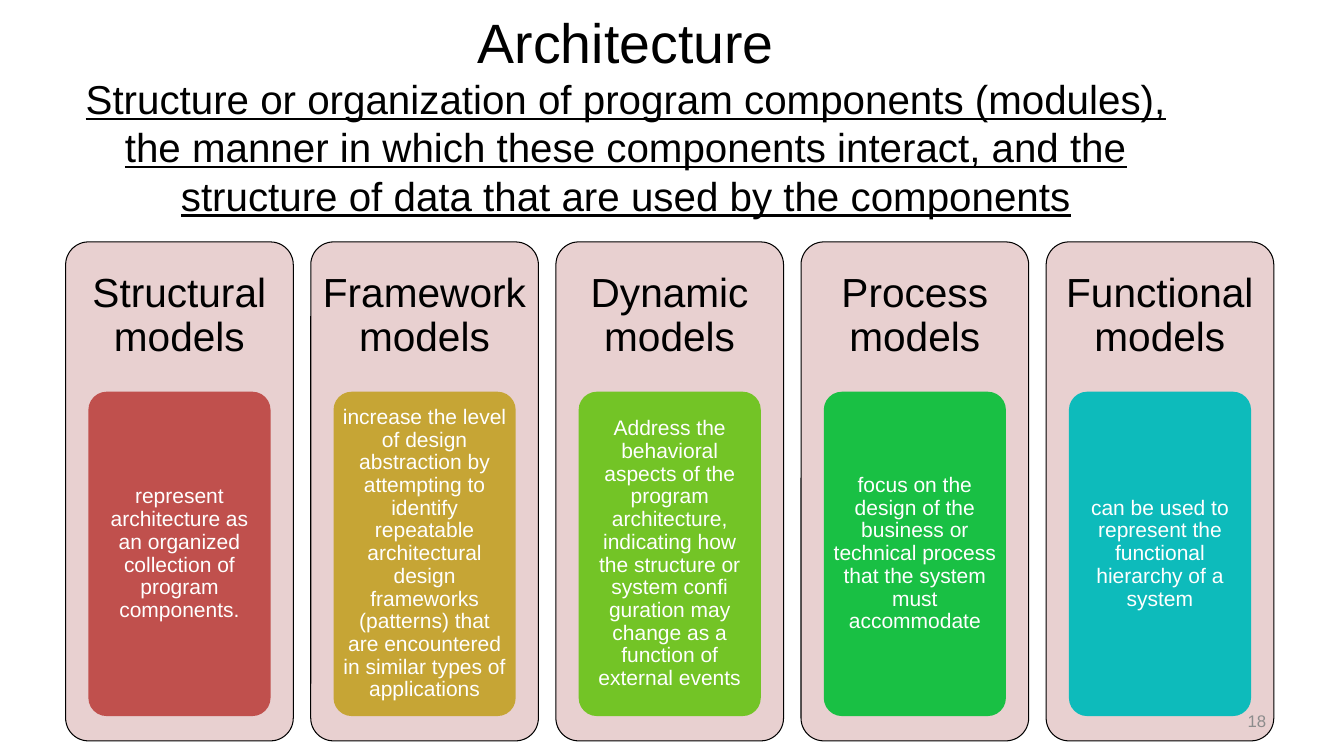
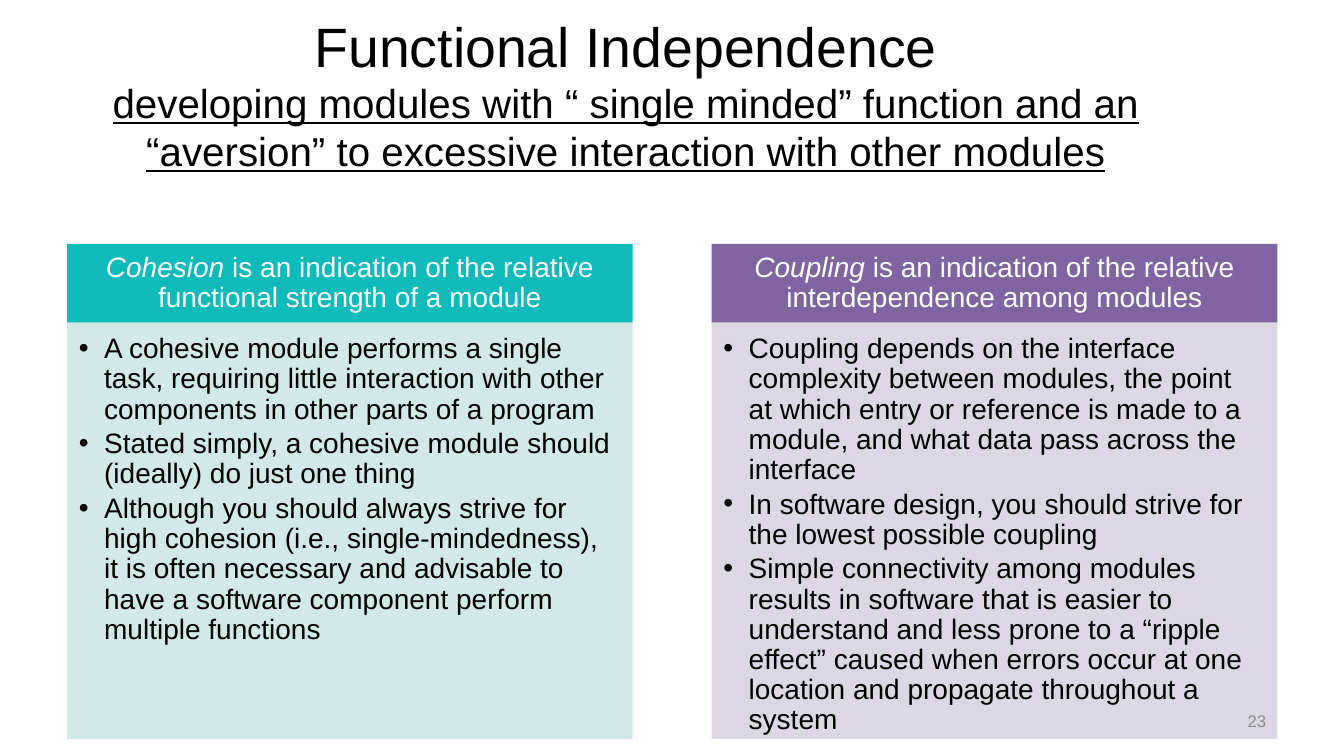
from dataclasses import dataclass

import pptx
import pptx.dml.color
import pptx.enum.shapes
import pptx.enum.text
import pptx.oxml
import pptx.oxml.ns
import pptx.presentation
import pptx.shapes.autoshape
import pptx.slide
import pptx.text.text
import pptx.util

Pt = pptx.util.Pt
Align = pptx.enum.text.PP_ALIGN
Anchor = pptx.enum.text.MSO_ANCHOR
Shape = pptx.shapes.autoshape.Shape
Slide = pptx.slide.Slide


@dataclass(frozen=True)
class Theme:
    font: str = "Arial"
    black: str = "000000"
    white: str = "FFFFFF"
    grey: str = "8C8C8C"
    pink: str = "E8D0D0"
    red: str = "C0504D"
    gold: str = "C6A535"
    lime: str = "73C426"
    green: str = "19C044"
    teal: str = "0DBBBB"
    plum: str = "8064A2"
    mint: str = "CCE7E7"
    mauve: str = "D8D3E0"
    title: float = 39.6
    lead: float = 28.8
    head: float = 29
    body: float = 20
    note: float = 15
    foot: float = 12


@dataclass(frozen=True)
class Box:
    left: float
    top: float
    width: float
    height: float


@dataclass(frozen=True)
class Card:
    head: str
    note: str
    fill: str


@dataclass(frozen=True)
class Panel:
    term: str
    claim: str
    points: tuple[str, ...]
    fill: str
    tint: str


THEME = Theme()

CARDS = (
    Card("Structural models",
         "represent architecture as an organized collection of program components.",
         THEME.red),
    Card("Framework models",
         "increase the level of design abstraction by attempting to identify repeatable "
         "architectural design frameworks (patterns) that are encountered in similar "
         "types of applications", THEME.gold),
    Card("Dynamic models",
         "Address the behavioral aspects of the program architecture, indicating how the "
         "structure or system confi guration may change as a function of external events",
         THEME.lime),
    Card("Process models",
         "focus on the design of the business or technical process that the system must "
         "accommodate", THEME.green),
    Card("Functional models",
         "can be used to represent the functional hierarchy of a system", THEME.teal),
)

PANELS = (
    Panel("Cohesion", " is an indication of the relative functional strength of a module", (
        "A cohesive module performs a single task, requiring little interaction with other "
        "components in other parts of a program",
        "Stated simply, a cohesive module should (ideally) do just one thing",
        "Although you should always strive for high cohesion (i.e., single-mindedness), it "
        "is often necessary and advisable to have a software component perform multiple "
        "functions",
    ), THEME.teal, THEME.mint),
    Panel("Coupling", " is an indication of the relative interdependence among modules", (
        "Coupling depends on the interface complexity between modules, the point at which "
        "entry or reference is made to a module, and what data pass across the interface",
        "In software design, you should strive for the lowest possible coupling",
        "Simple connectivity among modules results in software that is easier to understand "
        "and less prone to a “ripple effect” caused when errors occur at one location and "
        "propagate throughout a system",
    ), THEME.plum, THEME.mauve),
)


def tone(code: str) -> pptx.dml.color.RGBColor:
    return pptx.dml.color.RGBColor.from_string(code)


def place(shape: Shape, box: Box) -> None:
    shape.left, shape.top = Pt(box.left), Pt(box.top)
    shape.width, shape.height = Pt(box.width), Pt(box.height)


def paint(shape: Shape, fill: str, alpha: int = 100) -> None:
    """Give a solid fill, with alpha as percent opaque."""
    shape.fill.solid()
    shape.fill.fore_color.rgb = tone(fill)
    if alpha < 100:
        clr = next(shape.element.iter(pptx.oxml.ns.qn("a:srgbClr")))
        clr.append(pptx.oxml.parse_xml(
            f'<a:alpha {pptx.oxml.ns.nsdecls("a")} val="{alpha * 1000}"/>'))


def frame(shape: Shape, anchor: Anchor, left: float, top: float,
          right: float, base: float) -> pptx.text.text.TextFrame:
    """Set wrap, anchor and insets of a shape's text."""
    text = shape.text_frame
    text.word_wrap = True
    text.auto_size = pptx.enum.text.MSO_AUTO_SIZE.NONE
    text.vertical_anchor = anchor
    text.margin_left, text.margin_top = Pt(left), Pt(top)
    text.margin_right, text.margin_bottom = Pt(right), Pt(base)
    return text


def style(para: pptx.text.text._Paragraph, size: float, color: str, align: Align,
          line: float = 0.9, after: float = 0) -> None:
    para.alignment = align
    para.line_spacing = line
    para.space_before, para.space_after = Pt(0), Pt(after)
    for run in para.runs:
        run.font.name = THEME.font
        run.font.size = Pt(size)
        run.font.bold = False
        run.font.color.rgb = tone(color)


def start(deck: pptx.presentation.Presentation, layout: int, top: float,
          title: str, lead: str) -> Slide:
    """Add a slide with its title and underlined lead."""
    slide = deck.slides.add_slide(deck.slide_layouts[layout])
    shape = slide.shapes.title
    place(shape, Box(48, top, 798, 90))
    text = frame(shape, Anchor.MIDDLE, 7.2, 3.6, 7.2, 3.6)
    text.text = f"{title}\n{lead}"
    for para, size in zip(text.paragraphs, (THEME.title, THEME.lead)):
        style(para, size, THEME.black, Align.CENTER, line=1)
    text.paragraphs[1].runs[0].font.underline = True
    return slide


def number(slide: Slide, page: int) -> None:
    shape = slide.shapes.add_textbox(Pt(687.6), Pt(500.4), Pt(224), Pt(28.8))
    text = frame(shape, Anchor.MIDDLE, 7.2, 3.6, 7.2, 3.6)
    text.text = str(page)
    style(text.paragraphs[0], THEME.foot, THEME.grey, Align.RIGHT, line=1)


def tile(slide: Slide, box: Box, fill: str, words: str, size: float, color: str,
         pad: float, base: float) -> Shape:
    """Draw a rounded box with centred text."""
    shape = slide.shapes.add_shape(
        pptx.enum.shapes.MSO_SHAPE.ROUNDED_RECTANGLE,
        Pt(box.left), Pt(box.top), Pt(box.width), Pt(box.height))
    shape.shadow.inherit = False
    shape.adjustments[0] = 0.1
    paint(shape, fill)
    shape.line.fill.background()
    text = frame(shape, Anchor.MIDDLE, pad, pad, pad, base)
    text.text = words
    style(text.paragraphs[0], size, color, Align.CENTER)
    return shape


def draw_card(slide: Slide, card: Card, left: float) -> None:
    outer = Box(left, 172.8, 162.6, 356.4)
    shape = tile(slide, outer, THEME.pink, card.head, THEME.head, THEME.black, 3, 252.8)
    shape.line.color.rgb = tone(THEME.black)
    shape.line.width = Pt(0.75)
    inner = Box(left + 16.25, 279.8, 130.1, 231.7)
    tile(slide, inner, card.fill, card.note, THEME.note, THEME.white, 2, 2)


def draw_panel(head: Shape, body: Shape, panel: Panel, left: float) -> None:
    place(head, Box(left, 174.2, 404, 56.3))
    paint(head, panel.fill)
    text = frame(head, Anchor.MIDDLE, 11.2, 6.4, 11.2, 6.4)
    para = text.paragraphs[0]
    for words in (panel.term, panel.claim):
        para.add_run().text = words
    style(para, THEME.body, THEME.white, Align.CENTER)
    para.runs[0].font.italic = True

    place(body, Box(left, 230.5, 404, 297.3))
    paint(body, panel.tint, 90)
    text = frame(body, Anchor.TOP, 8.4, 8.4, 11.2, 12.6)
    text.text = "\n".join(panel.points)
    for para in text.paragraphs:
        props = para._p.get_or_add_pPr()
        props.set("marL", str(Pt(18)))
        props.set("indent", str(Pt(-18)))
        style(para, THEME.body, THEME.black, Align.LEFT, after=3)


def main() -> None:
    deck = pptx.Presentation()
    deck.slide_width, deck.slide_height = Pt(960), Pt(540)

    slide = start(deck, 5, 36, "Architecture",
                  "Structure or organization of program components (modules), the manner in "
                  "which these components interact, and the structure of data that are used "
                  "by the components")
    for step, card in enumerate(CARDS):
        draw_card(slide, card, 46.9 + 175.1 * step)
    number(slide, 18)

    slide = start(deck, 4, 21.6, "Functional Independence",
                  "developing modules with “ single minded” function and an “aversion” to "
                  "excessive interaction with other modules")
    slots = slide.placeholders
    for step, panel in enumerate(PANELS):
        draw_panel(slots[1 + 2 * step], slots[2 + 2 * step], panel, 48 + 460.4 * step)
    number(slide, 23)

    deck.save("out.pptx")


if __name__ == "__main__":
    main()
